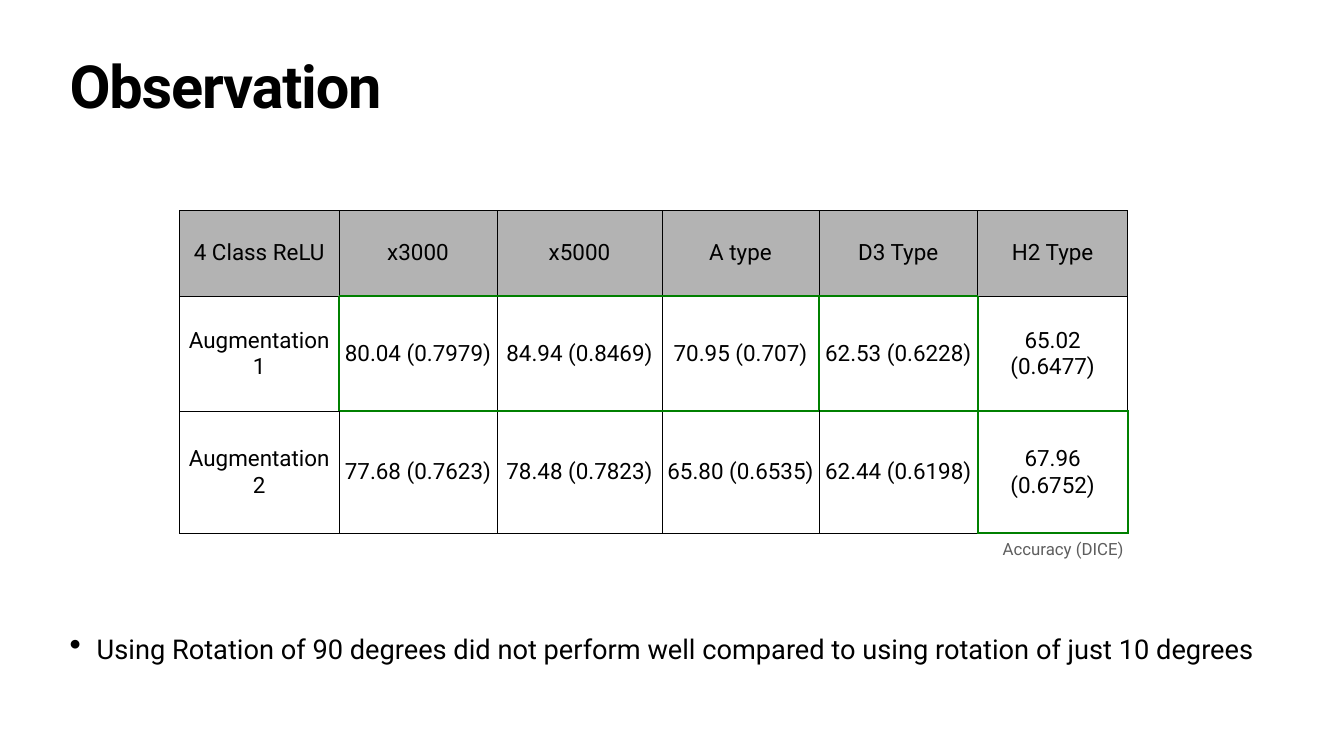
from pptx import Presentation
from pptx.dml.color import RGBColor as RGB
from pptx.enum.text import MSO_ANCHOR as Anchor, PP_ALIGN as Align
from pptx.oxml import parse_xml
from pptx.oxml.ns import nsdecls
from pptx.util import Inches, Pt

# Content
TITLE = "Observation"
POINT = "Using Rotation of 90 degrees did not perform well compared to using rotation of just 10 degrees"
NOTE = "Accuracy (DICE)"
ROWS = [
    ["4 Class ReLU", "x3000", "x5000", "A type", "D3 Type", "H2 Type"],
    ["Augmentation 1", "80.04 (0.7979)", "84.94 (0.8469)", "70.95 (0.707)",
     "62.53 (0.6228)", "65.02 (0.6477)"],
    ["Augmentation 2", "77.68 (0.7623)", "78.48 (0.7823)", "65.80 (0.6535)",
     "62.44 (0.6198)", "67.96 (0.6752)"],
]
BEST = [(1, 1, 3), (1, 4, 4), (2, 5, 5)]  # row, first column, last column
WIDTHS = [3.17, 3.13, 3.28, 3.11, 3.15, 2.98]
HEIGHTS = [1.69, 2.29, 2.42]

THEME = {
    "font": "Roboto", "ink": "000000", "gray": "5E5E5E",
    "head": "B3B3B3", "best": "008000",
    "title": 85, "body": 38.9, "cell": 32, "note": 24,
    "thin": 1, "thick": 3, "pad": 0.06,
}


def write(frame, text, size, color=THEME["ink"], bold=False, align=Align.LEFT,
          line=None, track=None):
    para = frame.paragraphs[0]
    para.alignment = align
    if line:
        para.line_spacing = line
    run = para.add_run()
    run.text = text
    font = run.font
    font.name, font.size, font.bold = THEME["font"], Pt(size), bold
    font.color.rgb = RGB.from_string(color)
    if track:
        font._element.set("spc", str(round(track * 100)))
    return para


def pad(part):
    part.margin_left = part.margin_right = Inches(THEME["pad"])
    part.margin_top = part.margin_bottom = Inches(THEME["pad"])


def add_box(slide, left, top, width, height, wrap=True, anchor=Anchor.TOP):
    box = slide.shapes.add_textbox(*map(Inches, (left, top, width, height)))
    frame = box.text_frame
    frame.word_wrap, frame.vertical_anchor = wrap, anchor
    pad(frame)
    return frame


def add_dot(para, indent, scale):
    props = para._p.get_or_add_pPr()
    props.set("marL", str(Inches(indent)))
    props.set("indent", str(-Inches(indent)))
    props.append(parse_xml(f'<a:buSzPct {nsdecls("a")} val="{scale * 1000}"/>'))
    props.append(parse_xml(f'<a:buChar {nsdecls("a")} char="•"/>'))


def best_edges():
    """Outline each best group; an edge is (direction, row line, column line)."""
    edges = set()
    for row, first, last in BEST:
        edges |= {("v", row, first), ("v", row, last + 1)}
        edges |= {("h", line, col) for line in (row, row + 1)
                  for col in range(first, last + 1)}
    return edges


def rule_cell(cell, row, col, edges):
    sides = {"L": ("v", row, col), "R": ("v", row, col + 1),
             "T": ("h", row, col), "B": ("h", row + 1, col)}
    props = cell._tc.get_or_add_tcPr()
    for side, edge in sides.items():
        color, width = (("best", "thick") if edge in edges else ("ink", "thin"))
        props.append(parse_xml(
            f'<a:ln{side} {nsdecls("a")} w="{Pt(THEME[width])}"><a:solidFill>'
            f'<a:srgbClr val="{THEME[color]}"/></a:solidFill></a:ln{side}>'))


def add_grid(slide, left, top):
    table = slide.shapes.add_table(
        len(HEIGHTS), len(WIDTHS), Inches(left), Inches(top),
        Inches(sum(WIDTHS)), Inches(sum(HEIGHTS))).table
    table.first_row = table.horz_banding = False
    for col, width in zip(table.columns, WIDTHS):
        col.width = Inches(width)
    for row, height in zip(table.rows, HEIGHTS):
        row.height = Inches(height)
    edges = best_edges()
    for r, row in enumerate(ROWS):
        for c, text in enumerate(row):
            cell = table.cell(r, c)
            pad(cell)
            cell.vertical_anchor = Anchor.MIDDLE
            rule_cell(cell, r, c, edges)
            if r == 0:
                cell.fill.solid()
                cell.fill.fore_color.rgb = RGB.from_string(THEME["head"])
            else:
                cell.fill.background()
            write(cell.text_frame, text, THEME["cell"], align=Align.CENTER)


def main():
    deck = Presentation()
    deck.slide_width, deck.slide_height = Inches(26.67), Inches(15)
    slide = deck.slides.add_slide(deck.slide_layouts[6])

    # Title
    write(add_box(slide, 1.32, 1.18, 24.03, 1.57), TITLE, THEME["title"],
          bold=True, line=0.8, track=-1.7)

    # Finding
    point = write(add_box(slide, 1.32, 12.55, 24.03, 1.13), POINT,
                  THEME["body"], line=0.9)
    add_dot(point, 0.54, 123)

    # Results and their unit
    add_grid(slide, 3.56, 4.18)
    write(add_box(slide, 19.82, 10.64, 2.55, 0.5, wrap=False, anchor=Anchor.MIDDLE),
          NOTE, THEME["note"], color=THEME["gray"], align=Align.CENTER)

    deck.save("out.pptx")


if __name__ == "__main__":
    main()
